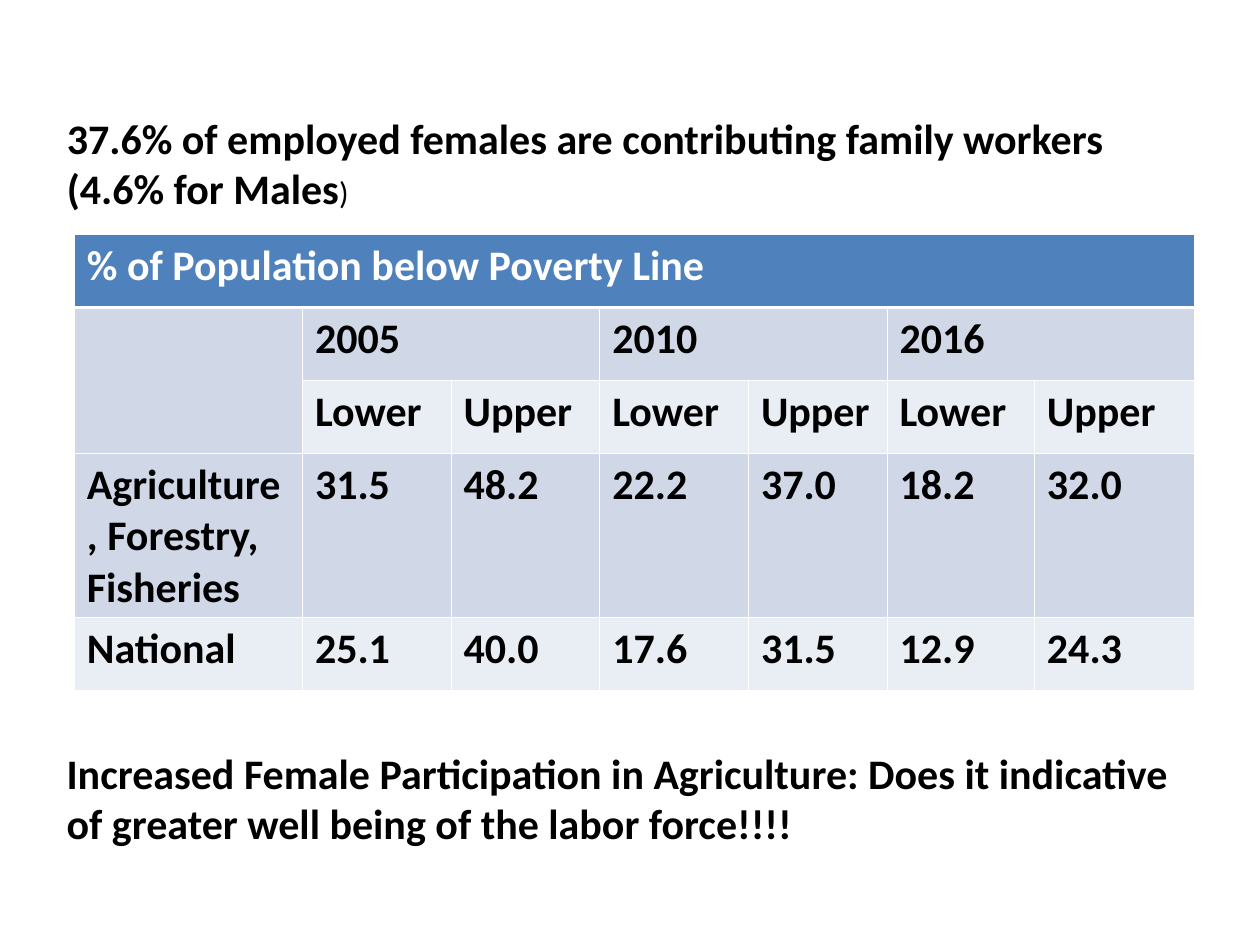
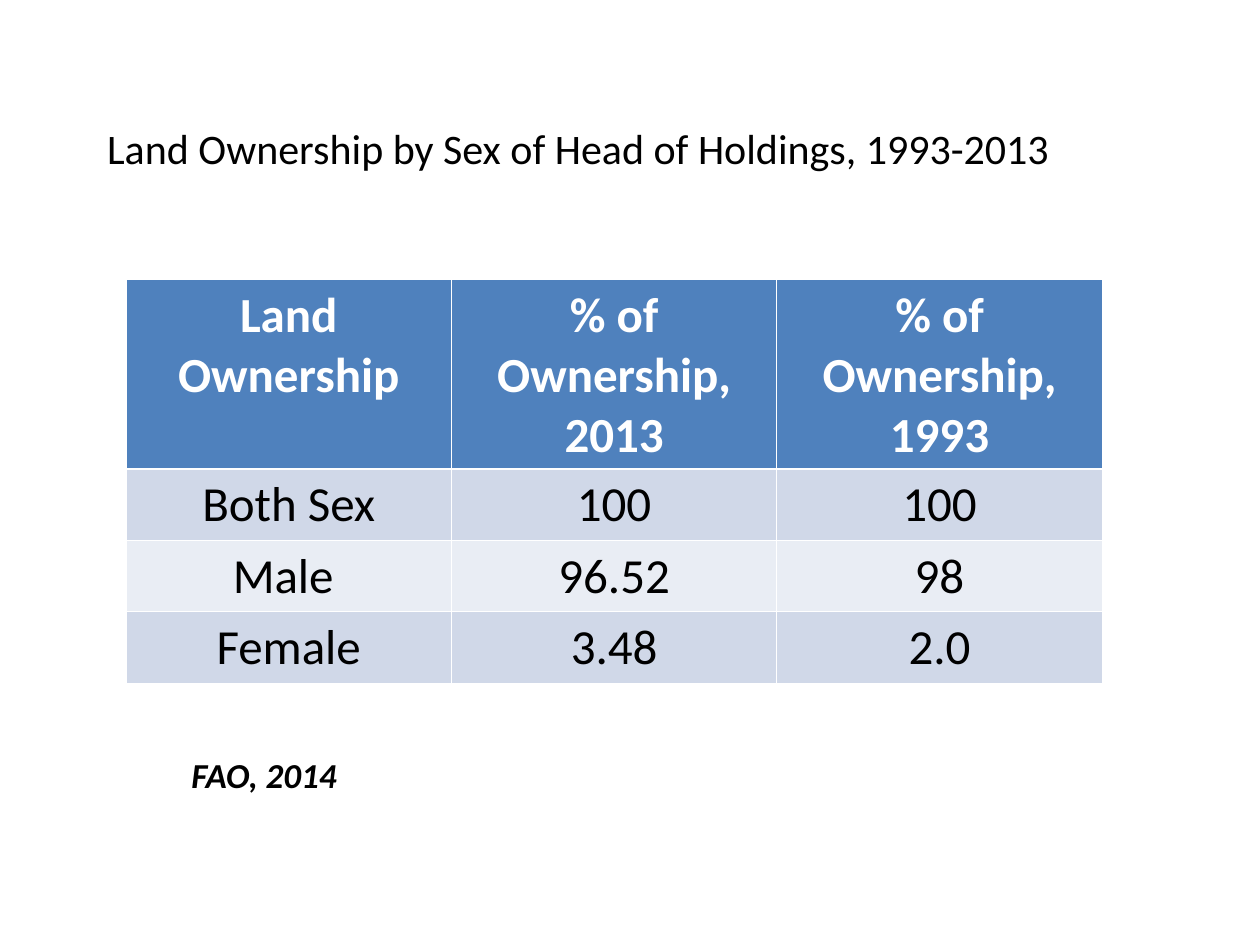
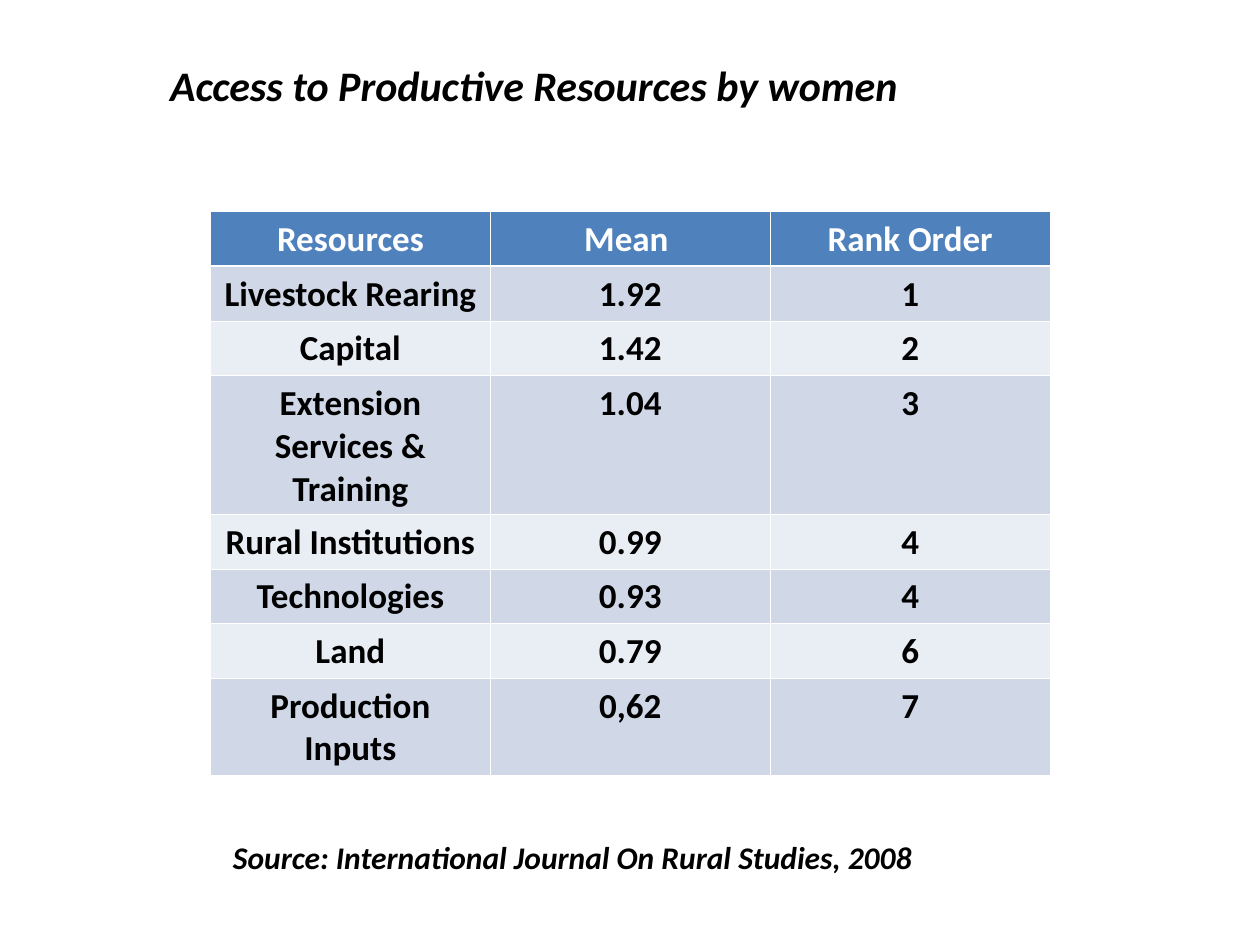
from dataclasses import dataclass

from lxml import etree
from pptx import Presentation
from pptx.dml.color import RGBColor
from pptx.enum.text import MSO_ANCHOR, MSO_AUTO_SIZE, PP_ALIGN
from pptx.oxml.ns import qn
from pptx.util import Inches, Pt

TOP = MSO_ANCHOR.TOP
GROW = MSO_AUTO_SIZE.SHAPE_TO_FIT_TEXT
LEFT, CENTER = PP_ALIGN.LEFT, PP_ALIGN.CENTER
TITLE_ONLY = 5
COLUMNS, ROWS = 100, 75


@dataclass(frozen=True)
class Theme:
    font: str = "Calibri"
    ink: str = "000000"
    paper: str = "FFFFFF"
    header: str = "4F81BD"
    bands: tuple = ("D0D8E8", "E9EDF4")
    thin_line: float = 0.45
    thick_line: float = 1.47
    heading_size: int = 24
    large_size: int = 28
    source_size: int = 20
    small_size: int = 18


class Deck:
    def __init__(self, theme):
        self.theme = theme
        self.presentation = Presentation()
        self.presentation.slide_width = Inches(10)
        self.presentation.slide_height = Inches(7.5)
        self.column = self.presentation.slide_width / COLUMNS
        self.row = self.presentation.slide_height / ROWS
        self.page = None

    def add_page(self):
        layout = self.presentation.slide_layouts[TITLE_ONLY]
        self.page = self.presentation.slides.add_slide(layout)

    def place(self, left, top, width, height):
        """Turn grid columns and rows into slide lengths."""
        return (round(left * self.column), round(top * self.row),
                round(width * self.column), round(height * self.row))

    def style(self, para, size, color, bold=False, italic=False, align=LEFT):
        para.alignment = align
        for span in para.runs:
            span.font.name = self.theme.font
            span.font.size = Pt(size)
            span.font.bold = bold
            span.font.italic = italic
            span.font.color.rgb = RGBColor.from_string(color)

    def fill_box(self, box, text, size, bold, italic):
        frame = box.text_frame
        frame.text = text
        frame.word_wrap = True
        frame.vertical_anchor = TOP
        frame.auto_size = GROW
        self.style(frame.paragraphs[0], size, self.theme.ink, bold, italic)

    def title(self, text, area, bold=False, italic=False):
        box = self.page.shapes.title
        box.left, box.top, box.width, box.height = self.place(*area)
        self.fill_box(box, text, self.theme.heading_size, bold, italic)
        return box.text_frame.paragraphs[0]

    def note(self, text, area, size, italic=True):
        box = self.page.shapes.add_textbox(*self.place(*area))
        self.fill_box(box, text, size, True, italic)

    def border(self, cell, side, width):
        line = etree.SubElement(cell._tc.get_or_add_tcPr(), qn(f"a:ln{side}"), w=str(Pt(width)))
        fill = etree.SubElement(line, qn("a:solidFill"))
        etree.SubElement(fill, qn("a:srgbClr"), val=self.theme.paper)

    def table(self, rows, corner, widths, heights, size, bold=True, align=CENTER, merges=()):
        theme = self.theme
        area = self.place(*corner, sum(widths), sum(heights))
        table = self.page.shapes.add_table(len(rows), len(widths), *area).table
        for column, width in zip(table.columns, widths):
            column.width = round(width * self.column)
        for row, height in zip(table.rows, heights):
            row.height = round(height * self.row)

        # Header row, then alternating bands; a thick rule parts the two
        for r, values in enumerate(rows):
            header = r == 0
            color = theme.paper if header else theme.ink
            band = theme.header if header else theme.bands[(r - 1) % 2]
            rules = {"L": theme.thin_line, "R": theme.thin_line,
                     "T": theme.thick_line if r == 1 else theme.thin_line,
                     "B": theme.thick_line if header else theme.thin_line}
            for c, value in enumerate(values):
                cell = table.cell(r, c)
                for side, width in rules.items():
                    self.border(cell, side, width)
                cell.fill.solid()
                cell.fill.fore_color.rgb = RGBColor.from_string(band)
                if value:
                    cell.text = value
                    self.style(cell.text_frame.paragraphs[0], size, color,
                               header or bold, align=align)
        for first, last in merges:
            table.cell(*first).merge(table.cell(*last))


def poverty_page(deck):
    theme = deck.theme
    deck.add_page()
    heading = deck.title("37.6% of employed females are contributing family workers (4.6% for Males",
                         (4.3, 8.4, 90.6, 9), bold=True)
    bracket = heading.add_run()
    bracket.text = ")"
    bracket.font.name = theme.font
    bracket.font.size = Pt(theme.small_size)
    bracket.font.bold = False
    bracket.font.color.rgb = RGBColor.from_string(theme.ink)

    rows = [
        ["% of Population below Poverty Line"] + [""] * 6,
        ["", "2005", "", "2010", "", "2016", ""],
        [""] + ["Lower", "Upper"] * 3,
        ["Agriculture, Forestry, Fisheries", "31.5", "48.2", "22.2", "37.0", "18.2", "32.0"],
        ["National", "25.1", "40.0", "17.6", "31.5", "12.9", "24.3"],
    ]
    year_spans = [((1, c), (1, c + 1)) for c in (1, 3, 5)]
    deck.table(rows, (5.9, 18.6), [18.1, 11.8, 11.8, 11.8, 11, 11.7, 12.7],
               [5.8, 5.8, 5.8, 13, 5.8], theme.heading_size, align=LEFT,
               merges=[((0, 0), (0, 6)), ((1, 0), (2, 0))] + year_spans)
    deck.note("Increased Female Participation in Agriculture: Does it indicative of greater "
              "well being of the labor force!!!!",
              (4.3, 58.8, 92.1, 9), theme.heading_size, italic=False)


def ownership_page(deck):
    theme = deck.theme
    deck.add_page()
    deck.title("Land Ownership by Sex of Head of Holdings, 1993-2013", (7.5, 9.2, 79.2, 5))
    rows = [
        ["Land Ownership", "% of Ownership, 2013", "% of Ownership, 1993"],
        ["Both Sex", "100", "100"],
        ["Male ", "96.52", "98"],
        ["Female", "3.48", "2.0"],
    ]
    deck.table(rows, (10, 22.2), [25.83] * 3, [15] + [5.67] * 3, theme.large_size, bold=False)
    deck.note("FAO, 2014", (14.2, 59.3, 66.7, 4.4), theme.source_size)


def resources_page(deck):
    theme = deck.theme
    deck.add_page()
    deck.title("Access to Productive Resources by women", (12.5, 4.2, 76.7, 5),
               bold=True, italic=True)
    rows = [
        ["Resources", "Mean ", "Rank Order"],
        ["Livestock Rearing", "1.92", "1"],
        ["Capital", "1.42", "2"],
        ["Extension Services & Training", "1.04", "3"],
        ["Rural Institutions", "0.99", "4"],
        ["Technologies", "0.93", "4"],
        ["Land", "0.79", "6"],
        ["Production Inputs", "0,62", "7"],
    ]
    one_line, two_lines, three_lines = 4.34, 7.7, 11
    heights = [one_line] * 3 + [three_lines] + [one_line] * 3 + [two_lines]
    deck.table(rows, (16.7, 16.8), [22.22] * 3, heights, theme.source_size)
    deck.note("Source: International Journal On Rural Studies, 2008",
              (17.5, 66, 79.2, 4), theme.small_size)


def main():
    deck = Deck(Theme())
    for build_page in (poverty_page, ownership_page, resources_page):
        build_page(deck)
    deck.presentation.save("out.pptx")


if __name__ == "__main__":
    main()
